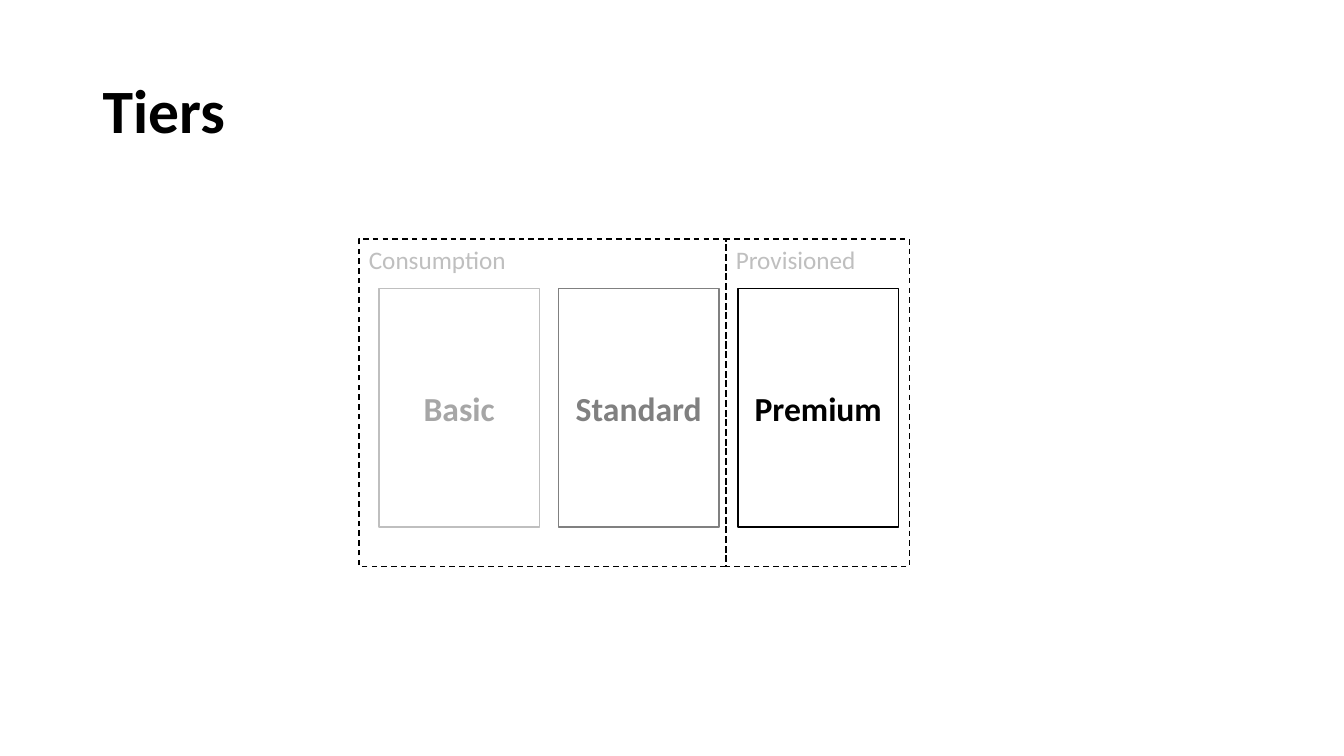
import pptx
import pptx.dml.color
import pptx.enum.dml
import pptx.enum.shapes
import pptx.enum.text
import pptx.util

COLORS = {
    "black": "000000",
    "white": "FFFFFF",
    "basic_line": "BFBFBF",
    "basic_text": "A6A6A6",
    "standard": "808080",
    "group_text": "BFBFBF",
}
TIERS = [
    ("Basic", "basic_line", "basic_text"),
    ("Standard", "standard", "standard"),
    ("Premium", "black", "black"),
]
GROUPS = [("Consumption", 0, 2), ("Provisioned", 2, 1)]
ANCHOR = pptx.enum.text.MSO_ANCHOR
ALIGN = pptx.enum.text.PP_ALIGN


def rgb(name):
    """Return the named palette colour."""
    return pptx.dml.color.RGBColor.from_string(COLORS[name])


def inches(box):
    """Convert a box of inches to lengths."""
    return [pptx.util.Inches(value) for value in box]


def write(shape, text, size, color, bold, anchor, align):
    """Write one styled paragraph into a shape and return it."""
    frame = shape.text_frame
    frame.word_wrap = True
    frame.vertical_anchor = anchor
    paragraph = frame.paragraphs[0]
    paragraph.alignment = align
    run = paragraph.add_run()
    run.text = text
    run.font.name = "Calibri"
    run.font.size = pptx.util.Pt(size)
    run.font.bold = bold
    run.font.color.rgb = rgb(color)
    return paragraph


def add_title(slide, box, text):
    """Add the slide title in the given box."""
    shape = slide.shapes.add_textbox(*inches(box))
    paragraph = write(shape, text, 44, "black", True, ANCHOR.MIDDLE, ALIGN.LEFT)
    paragraph.line_spacing = 0.9


def add_rectangle(slide, box, line):
    """Add an unfilled rectangle with a thin outline."""
    shape = slide.shapes.add_shape(
        pptx.enum.shapes.MSO_SHAPE.RECTANGLE, *inches(box))
    shape.shadow.inherit = False
    shape.fill.background()
    shape.line.color.rgb = rgb(line)
    shape.line.width = pptx.util.Pt(1)
    return shape


def add_tiers(slide, box):
    """Add the tier cards and the dashed groups around them."""
    left, top, width, height = box
    column = width / len(TIERS)
    pitch = 1.78
    for index, (name, line, color) in enumerate(TIERS):
        card = (left + 0.2 + index * pitch, top + 0.49, 1.59, 2.37)
        shape = add_rectangle(slide, card, line)
        shape.fill.solid()
        shape.fill.fore_color.rgb = rgb("white")
        write(shape, name, 24, color, True, ANCHOR.MIDDLE, ALIGN.CENTER)
    for name, start, span in GROUPS:
        group = (left + start * column, top, span * column, height)
        shape = add_rectangle(slide, group, "black")
        shape.line.dash_style = pptx.enum.dml.MSO_LINE.DASH
        write(shape, name, 18, "group_text", False, ANCHOR.TOP, ALIGN.LEFT)


def main():
    """Build and save the presentation."""
    presentation = pptx.Presentation()
    presentation.slide_width = pptx.util.Inches(13.33)
    presentation.slide_height = pptx.util.Inches(7.5)
    slide = presentation.slides.add_slide(presentation.slide_layouts[6])
    add_title(slide, (0.92, 0.4, 11.5, 1.45), "Tiers")
    add_tiers(slide, (3.56, 2.37, 5.46, 3.25))
    presentation.save("out.pptx")


if __name__ == "__main__":
    main()
